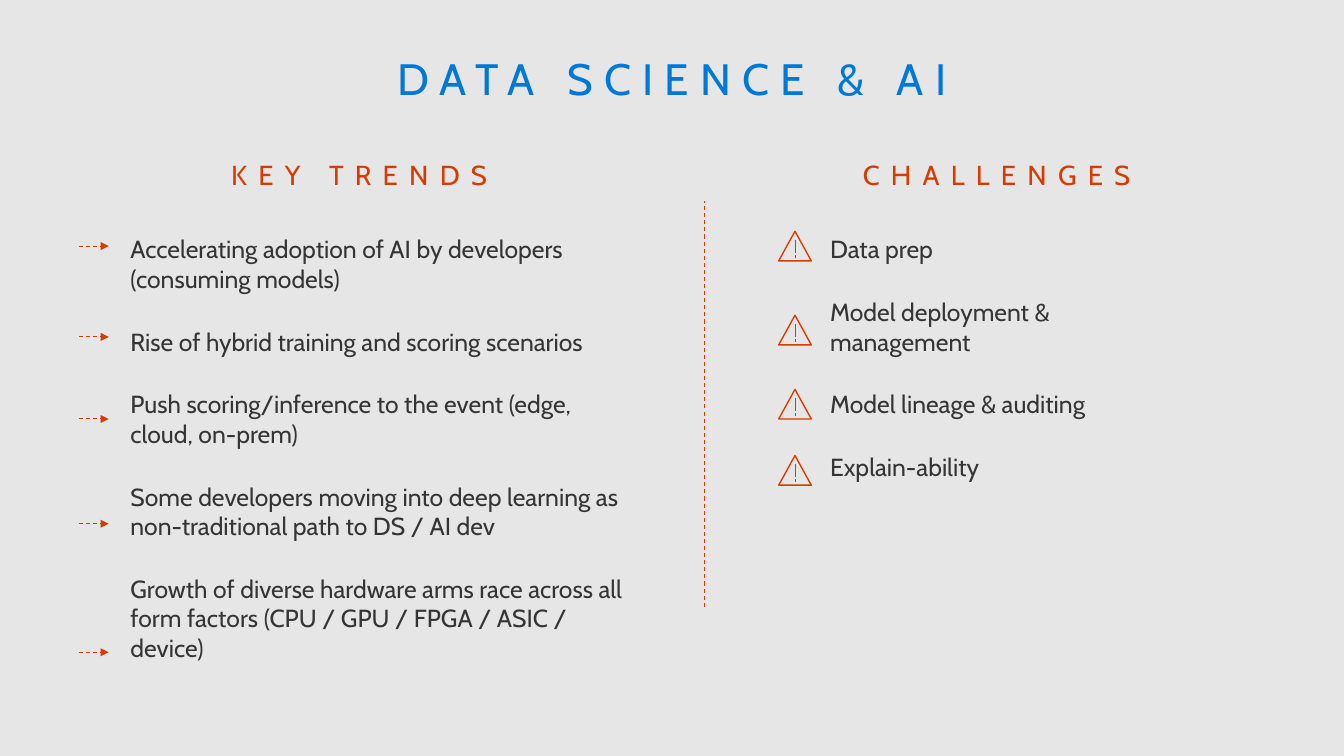
from dataclasses import dataclass

from pptx import Presentation, util as u
from pptx.dml.color import RGBColor
from pptx.enum import dml, shapes, text
from pptx.oxml.ns import qn
from lxml import etree

# Content
TITLE = "DATA SCIENCE & AI"
TRENDS_HEADING = "KEY TRENDS"
TRENDS = [
    "Accelerating adoption of AI by developers\n(consuming models)",
    "Rise of hybrid training and scoring scenarios",
    "Push scoring/inference to the event (edge, cloud, on-prem)",
    "Some developers moving into deep learning as\nnon-traditional path to DS / AI dev",
    "Growth of diverse hardware arms race across all form factors (CPU / GPU / FPGA / ASIC / device)",
]
CHALLENGES_HEADING = "CHALLENGES"
CHALLENGES = [
    "Data prep",
    "Model deployment & management",
    "Model lineage & auditing",
    "Explain-ability",
]

# Layout in px, 100 to the inch
PX = 9144
SLIDE = (1360, 765)
TITLE_AREA = (30, 32, 1300, 100)
TRENDS_HEADING_AREA = (105, 154, 517, 49)
CHALLENGES_HEADING_AREA = (750, 154, 517, 49)
TRENDS_AREA = (122, 232, 533, 448)
CHALLENGES_AREA = (830, 232, 358, 263)
DIVIDER = (713, 614, 713, 203)
ARROW_LEFT, ARROW_RIGHT = 80, 110
ARROW_ROWS = [249, 341, 424, 530, 660]
WARNING_LEFT, WARNING_WIDTH, WARNING_HEIGHT = 788, 33, 30
WARNING_TOPS = [234, 319, 394, 461]
MARK_X = 805
MARK_STROKES = [(9, 22), (24, 27)]


@dataclass(frozen=True)
class Theme:
    font: str = "Cabin"
    background: RGBColor = RGBColor(0xE6, 0xE6, 0xE6)
    title: RGBColor = RGBColor(0x00, 0x78, 0xD7)
    accent: RGBColor = RGBColor(0xD8, 0x3B, 0x01)
    body: RGBColor = RGBColor(0x35, 0x35, 0x35)
    title_size: int = 32
    heading_size: int = 20
    body_size: int = 18
    tracking: str = "820"
    paragraph_gap: int = 24
    thin: float = 0.75
    icon_line: float = 1


THEME = Theme()


def px(*lengths):
    return [u.Emu(length * PX) for length in lengths]


def place(box, area):
    box.left, box.top, box.width, box.height = px(*area)
    frame = box.text_frame
    frame.word_wrap = True
    frame.auto_size = text.MSO_AUTO_SIZE.NONE
    return frame


def style(para, size, color):
    para.font.name = THEME.font
    para.font.size = u.Pt(size)
    para.font.bold = False
    para.font.color.rgb = color


def fill_heading(box, area, words, size, color):
    frame = place(box, area)
    frame.vertical_anchor = text.MSO_ANCHOR.MIDDLE
    frame.margin_left, frame.margin_right, frame.margin_top, frame.margin_bottom = px(16, 16, 10, 10)
    para = frame.paragraphs[0]
    para.text = words
    para.alignment = text.PP_ALIGN.CENTER
    para.line_spacing = 0.9
    para.space_before = u.Pt(0)
    style(para, size, color)
    para._p.pPr.find(qn("a:defRPr")).set("spc", THEME.tracking)


def fill_list(box, area, items):
    frame = place(box, area)
    frame.vertical_anchor = text.MSO_ANCHOR.TOP
    for index, item in enumerate(items):
        para = frame.add_paragraph() if index else frame.paragraphs[0]
        para.text = item
        props = para._p.get_or_add_pPr()
        props.set("marL", "0")
        props.set("indent", "0")
        etree.SubElement(props, qn("a:buNone"))
        para.space_before = u.Pt(THEME.paragraph_gap if index else 0)
        style(para, THEME.body_size, THEME.body)


def draw_line(parent, ends, width, dashed=False, arrow=False):
    connector = parent.shapes.add_connector(shapes.MSO_CONNECTOR.STRAIGHT, *px(*ends))
    connector.line.color.rgb = THEME.accent
    connector.line.width = u.Pt(width)
    if dashed:
        connector.line.dash_style = dml.MSO_LINE.DASH
    props = connector._element.spPr
    if arrow:
        etree.SubElement(props.find(qn("a:ln")), qn("a:tailEnd"), type="triangle")
    etree.SubElement(props, qn("a:effectLst"))


def draw_warning(page, top):
    icon = page.shapes.add_group_shape()
    triangle = icon.shapes.add_shape(
        shapes.MSO_SHAPE.ISOSCELES_TRIANGLE,
        *px(WARNING_LEFT, top, WARNING_WIDTH, WARNING_HEIGHT))
    triangle.shadow.inherit = False
    triangle.fill.background()
    triangle.line.color.rgb = THEME.accent
    triangle.line.width = u.Pt(THEME.icon_line)
    for start, end in MARK_STROKES:
        draw_line(icon, (MARK_X, top + start, MARK_X, top + end), THEME.icon_line)


def main():
    deck = Presentation()
    deck.slide_width, deck.slide_height = px(*SLIDE)
    page = deck.slides.add_slide(deck.slide_layouts.get_by_name("Comparison"))
    page.background.fill.solid()
    page.background.fill.fore_color.rgb = THEME.background

    # Title, headings and lists
    title, trends_heading, trends, challenges_heading, challenges = page.placeholders
    fill_heading(title, TITLE_AREA, TITLE, THEME.title_size, THEME.title)
    fill_heading(trends_heading, TRENDS_HEADING_AREA, TRENDS_HEADING,
                 THEME.heading_size, THEME.accent)
    fill_heading(challenges_heading, CHALLENGES_HEADING_AREA, CHALLENGES_HEADING,
                 THEME.heading_size, THEME.accent)
    fill_list(trends, TRENDS_AREA, TRENDS)
    fill_list(challenges, CHALLENGES_AREA, CHALLENGES)

    # Divider, trend arrows and warning signs
    draw_line(page, DIVIDER, THEME.thin, dashed=True)
    for y in ARROW_ROWS:
        draw_line(page, (ARROW_LEFT, y, ARROW_RIGHT, y), THEME.thin, dashed=True, arrow=True)
    for top in WARNING_TOPS:
        draw_warning(page, top)

    deck.save("out.pptx")


if __name__ == "__main__":
    main()
